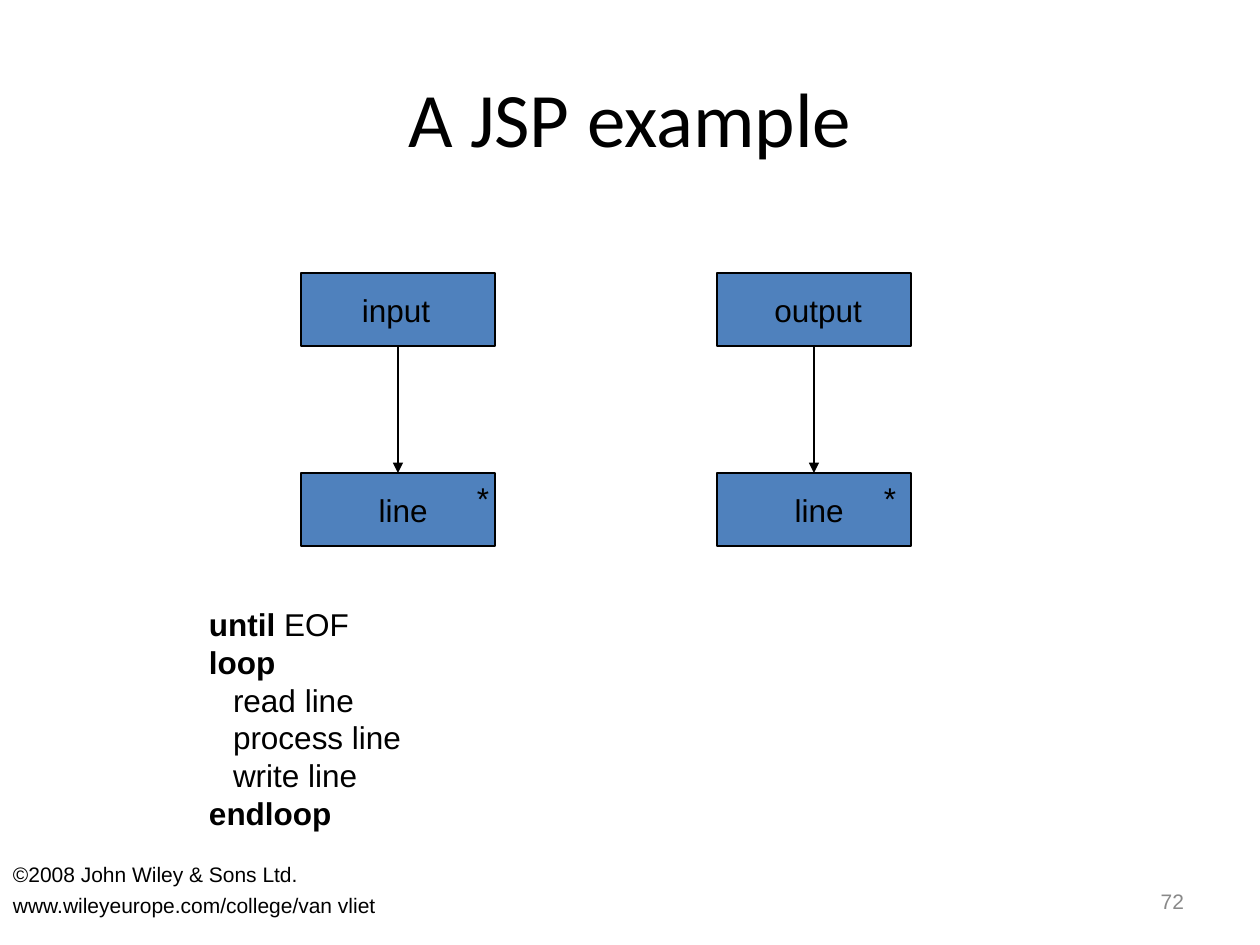
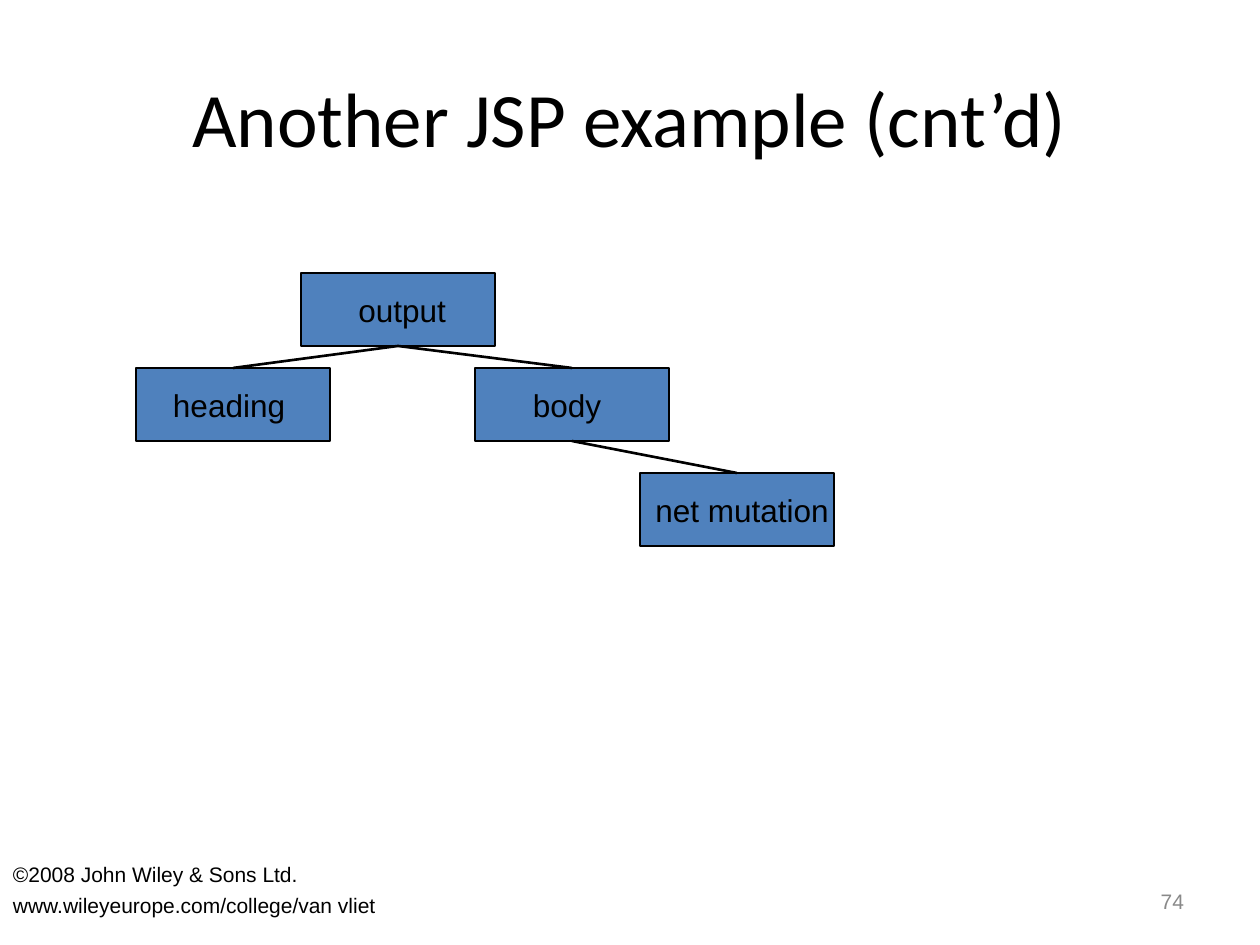
import pptx
import pptx.dml.color
import pptx.enum.shapes
import pptx.enum.text
import pptx.oxml.ns
import pptx.util
from lxml import etree

ALIGN = pptx.enum.text.PP_ALIGN
ANCHOR = pptx.enum.text.MSO_ANCHOR
BOX_W, BOX_H = 194, 73
ROOT_Y, MIDDLE_Y, LEAF_Y = 273, 368, 473


def px(length):
    return pptx.util.Emu(round(length * 914400 / 126))


def color(value):
    return pptx.dml.color.RGBColor.from_string(value)


class Deck:
    """Holds the shared style and the slide being drawn."""

    INK, BOX_FILL, MUTED = "000000", "4F81BD", "898989"
    BODY_FONT, TITLE_FONT = "Arial", "Calibri"

    def __init__(self):
        self.prs = pptx.Presentation()
        self.prs.slide_width, self.prs.slide_height = px(1260), px(945)

    def new_slide(self, title, number):
        self.slide = self.prs.slides.add_slide(self.prs.slide_layouts[6])
        self.text(63, 38, 1134, 157, [title], 44, ALIGN.CENTER, font=self.TITLE_FONT)
        self.text(903, 876, 294, 50, [number], 12, ALIGN.RIGHT, ink=self.MUTED)
        self.text(0, 856, 829, 89,
                  ["©2008 John Wiley & Sons Ltd.", "www.wileyeurope.com/college/van vliet"],
                  12, anchor=ANCHOR.TOP, gap=3)

    def style(self, paragraph, size, align, ink=INK, font=BODY_FONT):
        paragraph.alignment = align
        paragraph.font.size = pptx.util.Pt(size)
        paragraph.font.name = font
        paragraph.font.color.rgb = color(ink)

    def insets(self, frame, left, top, right, bottom):
        frame.margin_left, frame.margin_top = px(left), px(top)
        frame.margin_right, frame.margin_bottom = px(right), px(bottom)

    def text(self, x, y, w, h, lines, size=18, align=ALIGN.LEFT, anchor=ANCHOR.MIDDLE,
             gap=0, wrap=True, ink=INK, font=BODY_FONT):
        frame = self.slide.shapes.add_textbox(px(x), px(y), px(w), px(h)).text_frame
        frame.word_wrap = wrap
        frame.vertical_anchor = anchor
        self.insets(frame, 13, 6, 13, 6)
        for index, line in enumerate(lines):
            paragraph = frame.add_paragraph() if index else frame.paragraphs[0]
            paragraph.text = line
            self.style(paragraph, size, align, ink, font)
            if index and gap:
                paragraph.space_before = pptx.util.Pt(gap)
        return frame

    def code(self, x, y, w, h, lines):
        frame = self.text(x, y, w, h, [""] * len(lines), wrap=False)
        for paragraph, (keyword, rest, indent) in zip(frame.paragraphs, lines):
            paragraph._p.get_or_add_pPr().set("marL", str(px(indent)))
            if keyword:
                paragraph.add_run().text = keyword
                paragraph.runs[0].font.bold = True
            if rest:
                paragraph.add_run().text = rest

    def box(self, x, y, label, nudge=0):
        box = self.slide.shapes.add_shape(
            pptx.enum.shapes.MSO_SHAPE.RECTANGLE, px(x), px(y), px(BOX_W), px(BOX_H))
        box.shadow.inherit = False
        box.fill.solid()
        box.fill.fore_color.rgb = color(self.BOX_FILL)
        box.line.color.rgb = color(self.INK)
        box.line.width = pptx.util.Pt(0.75)
        frame = box.text_frame
        frame.word_wrap = False
        frame.vertical_anchor = ANCHOR.MIDDLE
        self.insets(frame, max(2 * nudge, 0), 0, max(-2 * nudge, 0), 0)
        frame.text = label
        self.style(frame.paragraphs[0], 18, ALIGN.CENTER)
        return box

    def link(self, parent, child, arrow=False):
        line = self.slide.shapes.add_connector(
            pptx.enum.shapes.MSO_CONNECTOR.STRAIGHT, 0, 0, 0, 0)
        line.begin_connect(parent, 2)
        line.end_connect(child, 0)
        line.line.color.rgb = color(self.INK)
        line.line.width = pptx.util.Pt(1.5)
        qn = pptx.oxml.ns.qn
        if arrow:
            etree.SubElement(line.line._get_or_add_ln(), qn("a:tailEnd"), type="triangle")
        etree.SubElement(line._element.spPr, qn("a:effectLst"))


def main():
    deck = Deck()

    deck.new_slide("A JSP example", "72")
    for x, stream, nudge, star_x in ((301, "input", -2, 464), (717, "output", 4, 871)):
        whole = deck.box(x, ROOT_Y, stream, nudge)
        part = deck.box(x, LEAF_Y, "line", 5)
        deck.text(star_x, LEAF_Y, 37, 50, ["*"], align=ALIGN.CENTER, wrap=False)
        deck.link(whole, part, arrow=True)
    deck.code(196, 599, 243, 239, [
        ("until", " EOF", 0),
        ("loop", "", 0),
        ("", "read line", 24),
        ("", "process line", 24),
        ("", "write line", 24),
        ("endloop", "", 0),
    ])

    deck.new_slide("Another JSP example (cnt’d)", "74")
    output = deck.box(301, ROOT_Y, "output", 4)
    heading = deck.box(136, MIDDLE_Y, "heading", -4)
    body = deck.box(475, MIDDLE_Y, "body", -5)
    mutation = deck.box(640, LEAF_Y, "net mutation", 5)
    for parent, child in ((output, heading), (output, body), (body, mutation)):
        deck.link(parent, child)

    deck.prs.save("out.pptx")


if __name__ == "__main__":
    main()
